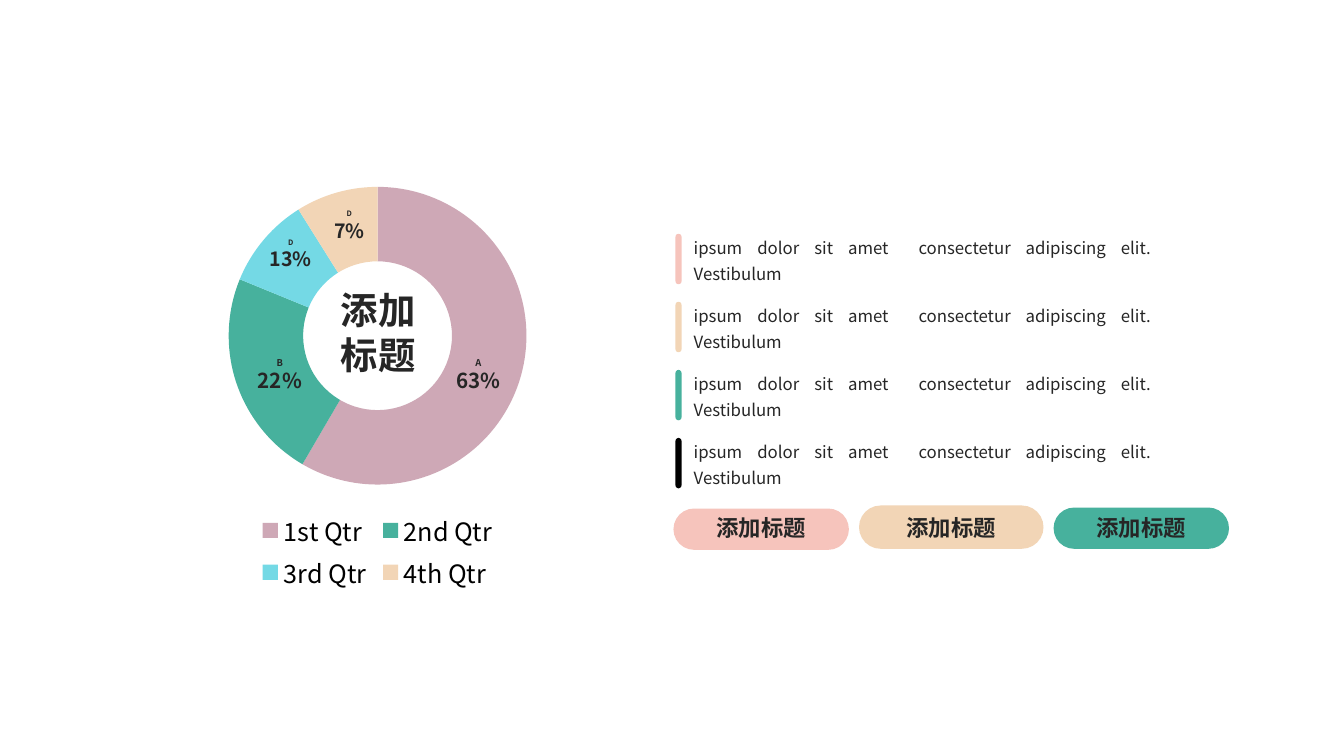
from lxml import etree
from pptx import Presentation, util as u
from pptx.chart.data import CategoryChartData
from pptx.dml.color import RGBColor
from pptx.enum import chart as ch, shapes as sh, text as tx
from pptx.oxml import parse_xml
from pptx.oxml.ns import qn, nsdecls

FONT = "Noto Sans CJK SC"
INK, PINK, SAND, GREEN, BLACK = "262626", "F6C4BC", "F2D5B6", "47B19D", "000000"
HEADING = "添加标题"
NOTE = "ipsum dolor sit amet  consectetur adipiscing elit. Vestibulum"

QUARTERS = [("1st Qtr", 59, "CEA8B6"), ("2nd Qtr", 23, GREEN),
            ("3rd Qtr", 10, "74D9E5"), ("4th Qtr", 9, SAND)]
SHARES = [("A", "63%", (4.42, 3.49, 0.65, 0.46), 6.7, 14.7),
          ("B", "22%", (2.45, 3.49, 0.65, 0.46), 6.7, 14.7),
          ("D", "13%", (2.57, 2.31, 0.63, 0.43), 5.3, 14),
          ("D", "7%", (3.21, 2.03, 0.51, 0.43), 5.3, 14)]
NOTES = [(NOTE, PINK), (NOTE, SAND), (NOTE, GREEN), (NOTE, BLACK)]
PILLS = [(HEADING, PINK, 1.74, 0.41, 5.25), (HEADING, SAND, 1.83, 0.43, 5.23),
         (HEADING, GREEN, 1.74, 0.41, 5.24)]

CHART_BOX = (1.6, 1.72, 4.29, 4.19)
PLOT = {"x": 0.155, "y": 0.032, "w": 0.69, "h": 0.705}
HUB_BOX = (3.25, 2.79, 1, 1.02)
BAR_LEFT, BAR_TOP, NOTE_LEFT, NOTE_TOP, NOTE_STEP = 6.7, 2.32, 6.76, 2.24, 0.675
PILL_CENTER, PILL_STEP = 7.55, 1.885
ROOMY, TIGHT = (0.12, 0.06), (0.1, 0.05)


def inches(box):
    return [u.Inches(length) for length in box]


def color(code):
    return RGBColor.from_string(code)


def write(shape, lines, sizes, bold=False, align="CENTER", spacing=1.0, inset=ROOMY, wrap=True):
    frame = shape.text_frame
    frame.word_wrap = wrap
    frame.auto_size = tx.MSO_AUTO_SIZE.SHAPE_TO_FIT_TEXT
    frame.vertical_anchor = tx.MSO_ANCHOR.TOP
    frame.margin_left = frame.margin_right = u.Inches(inset[0])
    frame.margin_top = frame.margin_bottom = u.Inches(inset[1])
    for index, (line, size) in enumerate(zip(lines, sizes)):
        paragraph = frame.add_paragraph() if index else frame.paragraphs[0]
        paragraph.alignment = getattr(tx.PP_ALIGN, align)
        paragraph.line_spacing = spacing
        paragraph.space_before = u.Pt(0)
        run = paragraph.add_run()
        run.text = line
        run.font.size, run.font.bold, run.font.name = u.Pt(size), bold, FONT
        run.font.color.rgb = color(INK)
        etree.SubElement(run.font._element, qn("a:ea"), typeface=FONT)


def add_capsule(slide, box, fill):
    capsule = slide.shapes.add_shape(sh.MSO_SHAPE.ROUND_2_SAME_RECTANGLE, *inches(box))
    capsule.adjustments[0] = capsule.adjustments[1] = 0.5
    capsule.shadow.inherit = False
    capsule.fill.solid()
    capsule.fill.fore_color.rgb = color(fill)
    capsule.line.fill.background()


def add_doughnut(slide):
    data = CategoryChartData()
    data.categories = [name for name, _, _ in QUARTERS]
    data.add_series("Series 1", [value for _, value, _ in QUARTERS])
    doughnut = slide.shapes.add_chart(
        ch.XL_CHART_TYPE.DOUGHNUT, *inches(CHART_BOX), data).chart
    doughnut.has_title = False
    doughnut.font.size, doughnut.font.name = u.Pt(18), FONT
    doughnut.font.color.rgb = color(BLACK)
    doughnut.has_legend = True
    doughnut.legend.position = ch.XL_LEGEND_POSITION.BOTTOM
    doughnut.legend.include_in_layout = False
    plot = doughnut.plots[0]
    plot.vary_by_categories = True
    plot._element.find(qn("c:holeSize")).set("val", "56")
    for index, (_, _, fill) in enumerate(QUARTERS):
        slice_format = plot.series[0].points[index].format
        slice_format.fill.solid()
        slice_format.fill.fore_color.rgb = color(fill)
        slice_format.line.fill.background()
    area = doughnut._chartSpace.chart.plotArea
    for layout in area.findall(qn("c:layout")):
        area.remove(layout)
    sides = "".join(f'<c:{side} val="{share}"/>' for side, share in PLOT.items())
    area.insert(0, parse_xml(
        f'<c:layout {nsdecls("c")}><c:manualLayout><c:layoutTarget val="inner"/>'
        f'<c:xMode val="edge"/><c:yMode val="edge"/>{sides}</c:manualLayout></c:layout>'))


def main():
    """Build the slide with a doughnut, four notes and three headings."""
    deck = Presentation()
    deck.slide_width, deck.slide_height = inches((13.33, 7.5))
    slide = deck.slides.add_slide(deck.slide_layouts[5])
    add_doughnut(slide)
    for letter, percent, box, small, large in SHARES:
        write(slide.shapes.add_textbox(*inches(box)), [letter, percent], [small, large],
              bold=True, inset=TIGHT, wrap=False)

    for row, (note, fill) in enumerate(NOTES):
        drop = row * NOTE_STEP
        add_capsule(slide, (BAR_LEFT, BAR_TOP + drop, 0.06, 0.5), fill)
        write(slide.shapes.add_textbox(*inches((NOTE_LEFT, NOTE_TOP + drop, 4.78, 0.62))),
              [note], [12], align="JUSTIFY", spacing=1.3)

    for column, (heading, fill, width, height, middle) in enumerate(PILLS):
        center = PILL_CENTER + column * PILL_STEP
        add_capsule(slide, (center - width / 2, middle - height / 2, width, height), fill)
        write(slide.shapes.add_textbox(*inches((center - 0.66, 5.04, 1.32, 0.39))),
              [heading], [16], bold=True)

    hub = slide.shapes.title
    hub.left, hub.top, hub.width, hub.height = inches(HUB_BOX)
    write(hub, [HEADING], [26.7], bold=True)
    slide.shapes.element.append(hub.element)
    deck.save("out.pptx")


if __name__ == "__main__":
    main()
